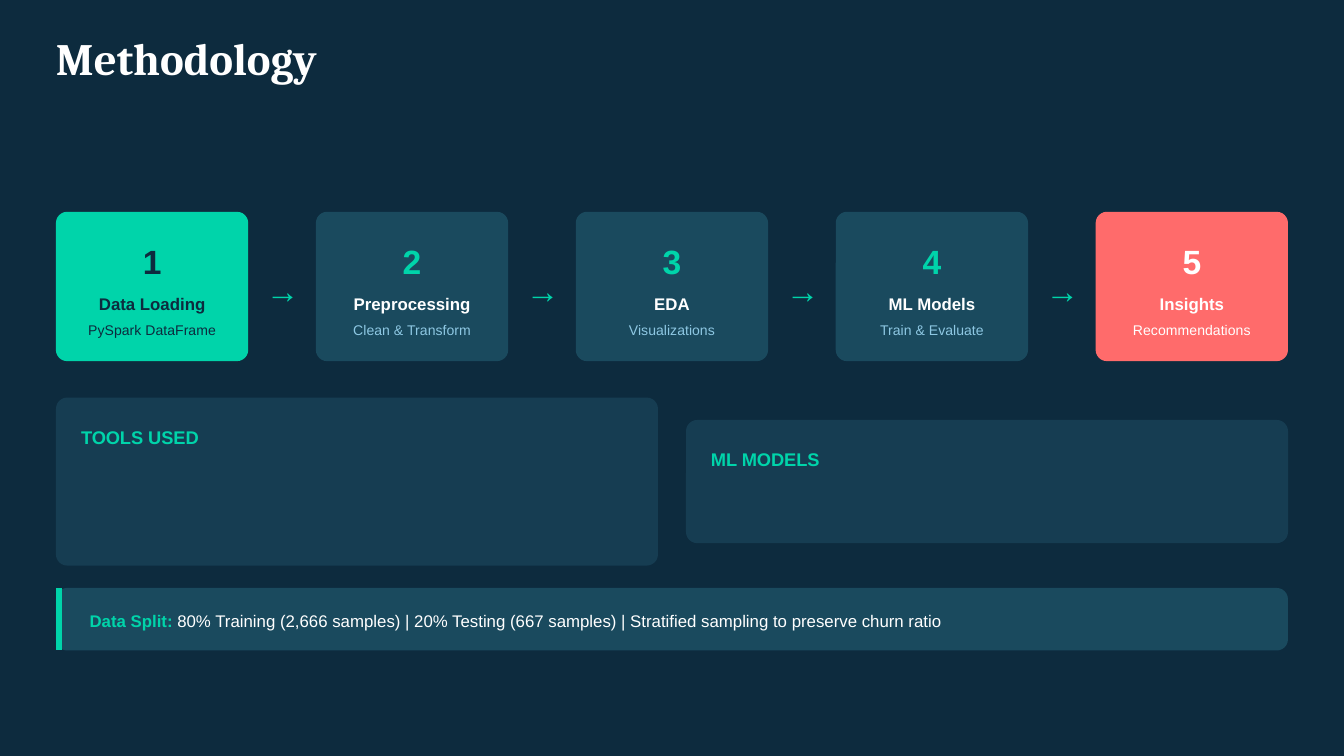
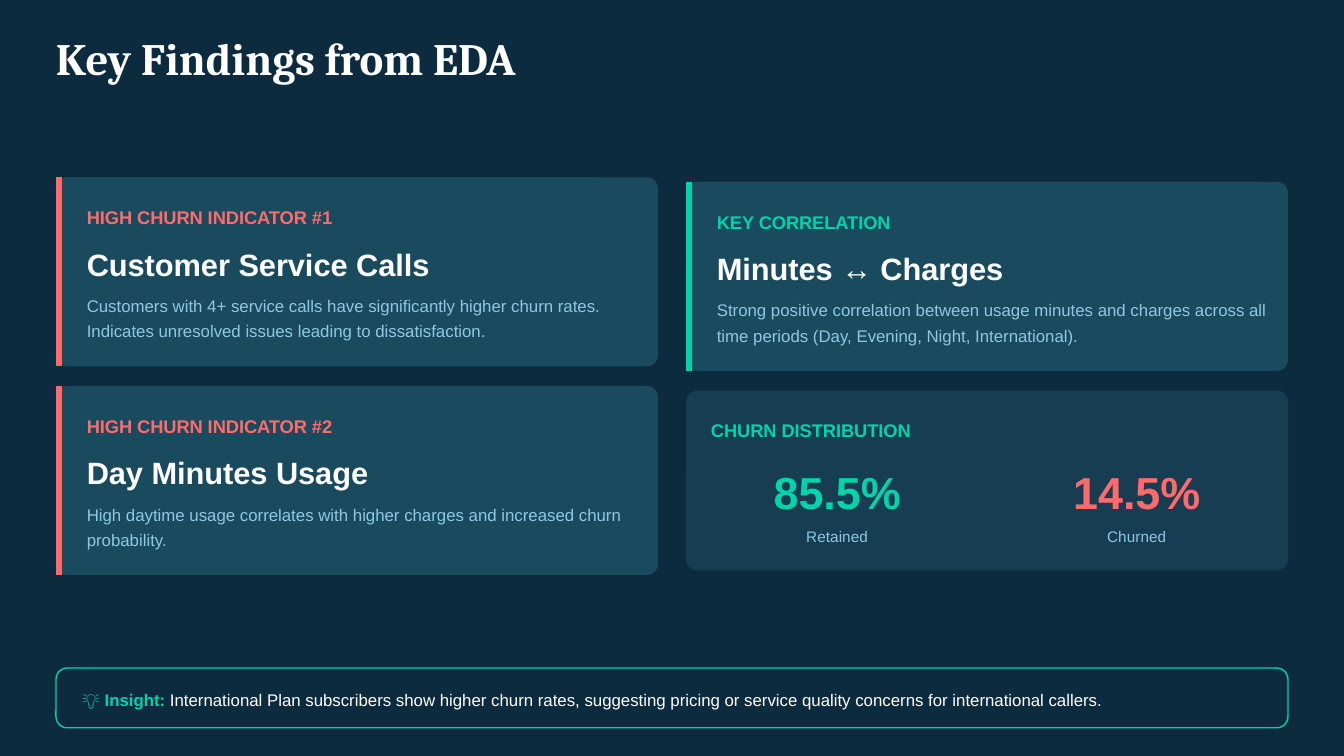
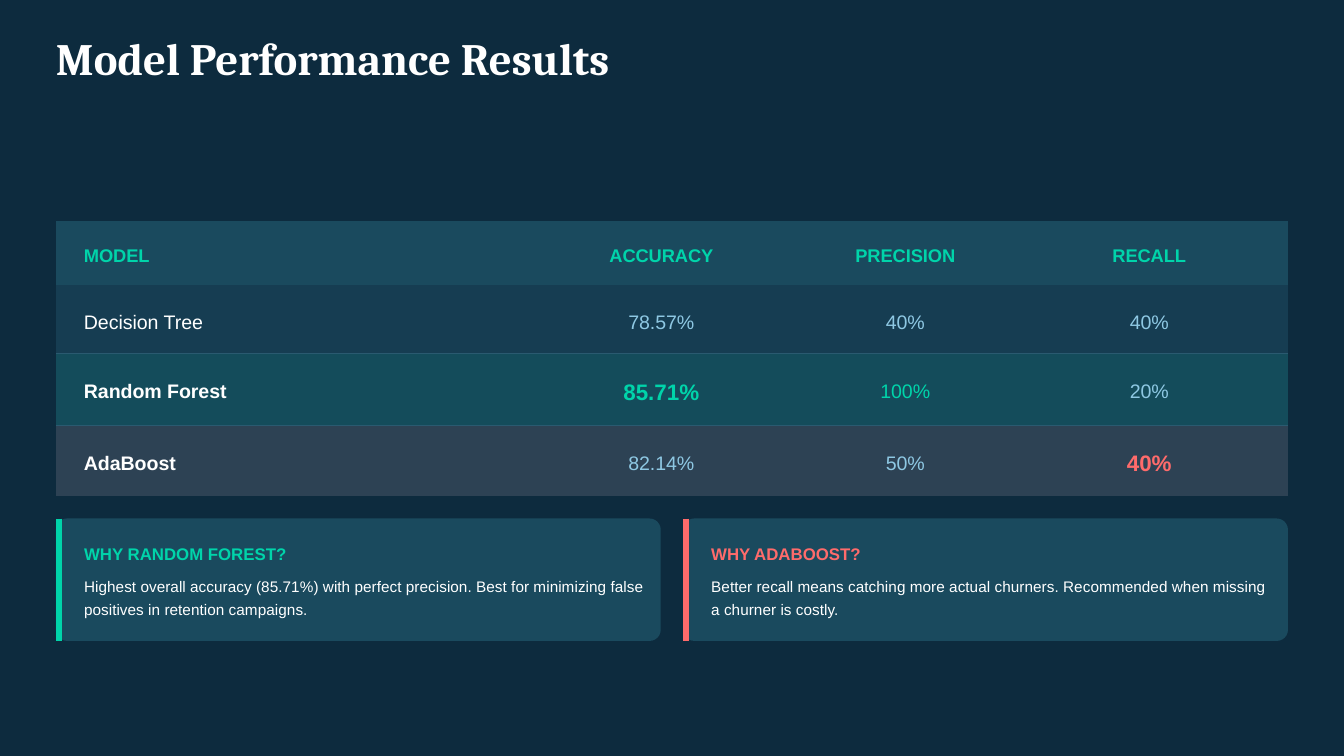
from lxml.etree import SubElement
from pptx import Presentation
from pptx.dml.color import RGBColor
from pptx.enum.shapes import MSO_CONNECTOR, MSO_SHAPE
from pptx.enum.text import MSO_ANCHOR, MSO_AUTO_SIZE, PP_ALIGN
from pptx.oxml import parse_xml
from pptx.oxml.ns import nsdecls, qn
from pptx.util import Pt

NAVY = RGBColor(0x0D, 0x2B, 0x3E)
PANEL = RGBColor(0x16, 0x3D, 0x52)
CARD = RGBColor(0x1A, 0x4A, 0x5E)
RULE = RGBColor(0x2A, 0x5A, 0x70)
MINT = RGBColor(0x00, 0xD4, 0xAA)
CORAL = RGBColor(0xFF, 0x6B, 0x6B)
SKY = RGBColor(0x8E, 0xC8, 0xE3)
WHITE = RGBColor(0xFF, 0xFF, 0xFF)
MINT_ROW = RGBColor(0x14, 0x4C, 0x5B)
CORAL_ROW = RGBColor(0x2D, 0x42, 0x54)

LEFT, WIDE = 30, 660
HALF, RIGHT = 322.5, 367.5
RADIUS = 6
PLAIN_GRID = "{2D5ABB26-0587-4C30-8999-92F81FD0307C}"
MID = PP_ALIGN.CENTER


def write(para, runs, size, lead, align=PP_ALIGN.LEFT, font="Arial"):
    """Fill a paragraph; each run is (text, colour, bold)."""
    para.alignment = align
    para.line_spacing = Pt(lead)
    for text, color, bold in runs:
        run = para.add_run()
        run.text = text
        run.font.name = font
        run.font.size = Pt(size)
        run.font.bold = bold
        run.font.color.rgb = color


def trim(frame):
    frame.margin_left = frame.margin_right = 0
    frame.margin_top = frame.margin_bottom = 0
    frame.word_wrap = True
    frame.auto_size = MSO_AUTO_SIZE.NONE
    frame.vertical_anchor = MSO_ANCHOR.TOP


def label(slide, x, y, w, runs, size, align=PP_ALIGN.LEFT, ratio=1.4, lines=1):
    lead = round(size * ratio, 2)
    box = slide.shapes.add_textbox(Pt(x), Pt(y), Pt(w), Pt(lead * lines))
    trim(box.text_frame)
    write(box.text_frame.paragraphs[0], runs, size, lead, align)


def panel(slide, x, y, w, h, fill, edge=None):
    box = slide.shapes.add_shape(
        MSO_SHAPE.ROUNDED_RECTANGLE, Pt(x), Pt(y), Pt(w), Pt(h))
    box.adjustments[0] = RADIUS / min(w, h)
    box.shadow.inherit = False
    box.fill.solid()
    box.fill.fore_color.rgb = fill
    if edge is None:
        box.line.fill.background()
    else:
        box.line.color.rgb = edge
        box.line.width = Pt(0.75)


def card(slide, x, y, w, h, accent):
    """A panel with a coloured bar along its left edge."""
    panel(slide, x, y, w, h, CARD)
    bar = slide.shapes.add_connector(
        MSO_CONNECTOR.STRAIGHT, Pt(x + 1.5), Pt(y), Pt(x + 1.5), Pt(y + h))
    bar.line.color.rgb = accent
    bar.line.width = Pt(3)
    SubElement(bar._element.spPr, qn("a:effectLst"))


def group(slide, x, y, h, head):
    """A half-width panel with a mint heading."""
    panel(slide, x, y, HALF, h, PANEL)
    label(slide, x + 13.4, y + 13.2, 301.7, [(head, MINT, True)], 9.75)


def start(deck, title):
    slide = deck.slides.add_slide(deck.slide_layouts[5])
    head = slide.shapes.title
    head.left, head.top, head.width, head.height = Pt(30), Pt(21), Pt(338), Pt(24)
    trim(head.text_frame)
    write(head.text_frame.paragraphs[0], [(title, WHITE, True)], 24, 24, font="Cambria")
    return slide


def method(deck):
    slide = start(deck, "Methodology")
    steps = [
        ("Data Loading", "PySpark DataFrame", MINT, NAVY, NAVY, NAVY),
        ("Preprocessing", "Clean & Transform", CARD, MINT, WHITE, SKY),
        ("EDA", "Visualizations", CARD, MINT, WHITE, SKY),
        ("ML Models", "Train & Evaluate", CARD, MINT, WHITE, SKY),
        ("Insights", "Recommendations", CORAL, WHITE, WHITE, WHITE),
    ]
    top, width = 113.5, 103
    pitch = (WIDE - width) / (len(steps) - 1)
    for i, (name, note, fill, digit, main_ink, note_ink) in enumerate(steps):
        x = LEFT + i * pitch
        panel(slide, x, top, width, 80, fill)
        label(slide, x + 14, top + 12, 75, [(str(i + 1), digit, True)], 18, MID)
        label(slide, x + 14, top + 42, 75, [(name, main_ink, True)], 9, MID)
        label(slide, x + 14, top + 57.2, 75, [(note, note_ink, False)], 7.5, MID)
        if i < len(steps) - 1:
            label(slide, x + 112.5, top + 27.5, 18.7, [("→", MINT, False)], 18)
    group(slide, LEFT, 213, 90, "TOOLS USED")
    group(slide, RIGHT, 225, 66, "ML MODELS")
    card(slide, LEFT, 315, WIDE, 33.5, MINT)
    label(slide, 48, 325.4, 639, [
        ("Data Split:", MINT, True),
        (" 80% Training (2,666 samples) | 20% Testing (667 samples) | "
         "Stratified sampling to preserve churn ratio", WHITE, False)], 9)


def findings(deck):
    slide = start(deck, "Key Findings from EDA")
    facts = [
        (LEFT, 95, CORAL, "HIGH CHURN INDICATOR #1", "Customer Service Calls",
         "Customers with 4+ service calls have significantly higher churn rates. "
         "Indicates unresolved issues leading to dissatisfaction."),
        (LEFT, 206.8, CORAL, "HIGH CHURN INDICATOR #2", "Day Minutes Usage",
         "High daytime usage correlates with higher charges and increased churn "
         "probability."),
        (RIGHT, 97.4, MINT, "KEY CORRELATION", "Minutes ↔ Charges",
         "Strong positive correlation between usage minutes and charges across all "
         "time periods (Day, Evening, Night, International)."),
    ]
    for x, y, accent, tag, head, text in facts:
        card(slide, x, y, HALF, 101.3, accent)
        label(slide, x + 16.5, y + 13.6, 298, [(tag, accent, True)], 9.75)
        label(slide, x + 16.5, y + 33.1, 298, [(head, WHITE, True)], 16.5)
        label(slide, x + 16.5, y + 60.7, 298, [(text, SKY, False)], 9, ratio=1.5, lines=2)
    group(slide, RIGHT, 209.3, 96.3, "CHURN DISTRIBUTION")
    for x, share, name, ink in [(379.5, "85.5%", "Retained", MINT),
                                (540, "14.5%", "Churned", CORAL)]:
        label(slide, x, 244, 138, [(share, ink, True)], 24, MID)
        label(slide, x, 280.5, 138, [(name, SKY, False)], 8.25, MID)
    panel(slide, LEFT, 357.9, WIDE, 32, NAVY, MINT)
    label(slide, 44.2, 367.9, 644, [
        ("💡 Insight:", MINT, True),
        (" International Plan subscribers show higher churn rates, suggesting pricing "
         "or service quality concerns for international callers.", WHITE, False)], 9)


def underline(cell):
    line = parse_xml(
        f'<a:lnB {nsdecls("a")} w="{Pt(0.75)}"><a:solidFill>'
        f'<a:srgbClr val="{RULE}"/></a:solidFill></a:lnB>')
    cell._tc.get_or_add_tcPr().insert(0, line)


def scores(slide):
    """Table of model scores; each cell is (text, colour, bold, size)."""
    def head(text):
        return text, MINT, True, 9.75

    def value(text, ink=SKY):
        return text, ink, False, 10.5

    def best(text, ink):
        return text, ink, True, 12

    rows = [
        (34.6, CARD, [head(t) for t in ("MODEL", "ACCURACY", "PRECISION", "RECALL")]),
        (36.4, PANEL, [value("Decision Tree", WHITE), value("78.57%"),
                       value("40%"), value("40%")]),
        (38.6, MINT_ROW, [("Random Forest", WHITE, True, 10.5), best("85.71%", MINT),
                          value("100%", MINT), value("20%")]),
        (37.8, CORAL_ROW, [("AdaBoost", WHITE, True, 10.5), value("82.14%"),
                           value("50%"), best("40%", CORAL)]),
    ]
    widths = [259, 130.7, 130.7, 139.6]
    frame = slide.shapes.add_table(
        len(rows), len(widths), Pt(LEFT), Pt(118.3), Pt(WIDE),
        Pt(sum(row[0] for row in rows)))
    grid = frame.table
    grid.first_row = grid.horz_banding = False
    frame._element.find(".//" + qn("a:tableStyleId")).text = PLAIN_GRID
    for col, width in zip(grid.columns, widths):
        col.width = Pt(width)
    for r, (height, fill, items) in enumerate(rows):
        grid.rows[r].height = Pt(height)
        for c, (text, ink, bold, size) in enumerate(items):
            cell = grid.cell(r, c)
            cell.fill.solid()
            cell.fill.fore_color.rgb = fill
            cell.vertical_anchor = MSO_ANCHOR.MIDDLE
            cell.margin_top = cell.margin_bottom = 0
            cell.margin_left = Pt(0 if c else 15)
            cell.margin_right = Pt(8.9 if c == len(widths) - 1 else 0)
            write(cell.text_frame.paragraphs[0], [(text, ink, bold)], size,
                  round(size * 1.4, 2), MID if c else PP_ALIGN.LEFT)
            if 0 < r < len(rows) - 1:
                underline(cell)


def results(deck):
    slide = start(deck, "Model Performance Results")
    scores(slide)
    reasons = [
        (LEFT, MINT, "WHY RANDOM FOREST?",
         "Highest overall accuracy (85.71%) with perfect precision. Best for "
         "minimizing false positives in retention campaigns."),
        (366, CORAL, "WHY ADABOOST?",
         "Better recall means catching more actual churners. Recommended when "
         "missing a churner is costly."),
    ]
    top = 277.8
    for x, accent, head, text in reasons:
        card(slide, x, top, 324, 65.6, accent)
        label(slide, x + 15, top + 11.8, 303, [(head, accent, True)], 9)
        label(slide, x + 15, top + 29, 303, [(text, WHITE, False)], 8.25,
              ratio=1.5, lines=2)


def main():
    deck = Presentation()
    deck.slide_width, deck.slide_height = Pt(720), Pt(405)
    back = deck.slide_master.background.fill
    back.solid()
    back.fore_color.rgb = NAVY
    method(deck)
    findings(deck)
    results(deck)
    deck.save("out.pptx")


if __name__ == "__main__":
    main()
